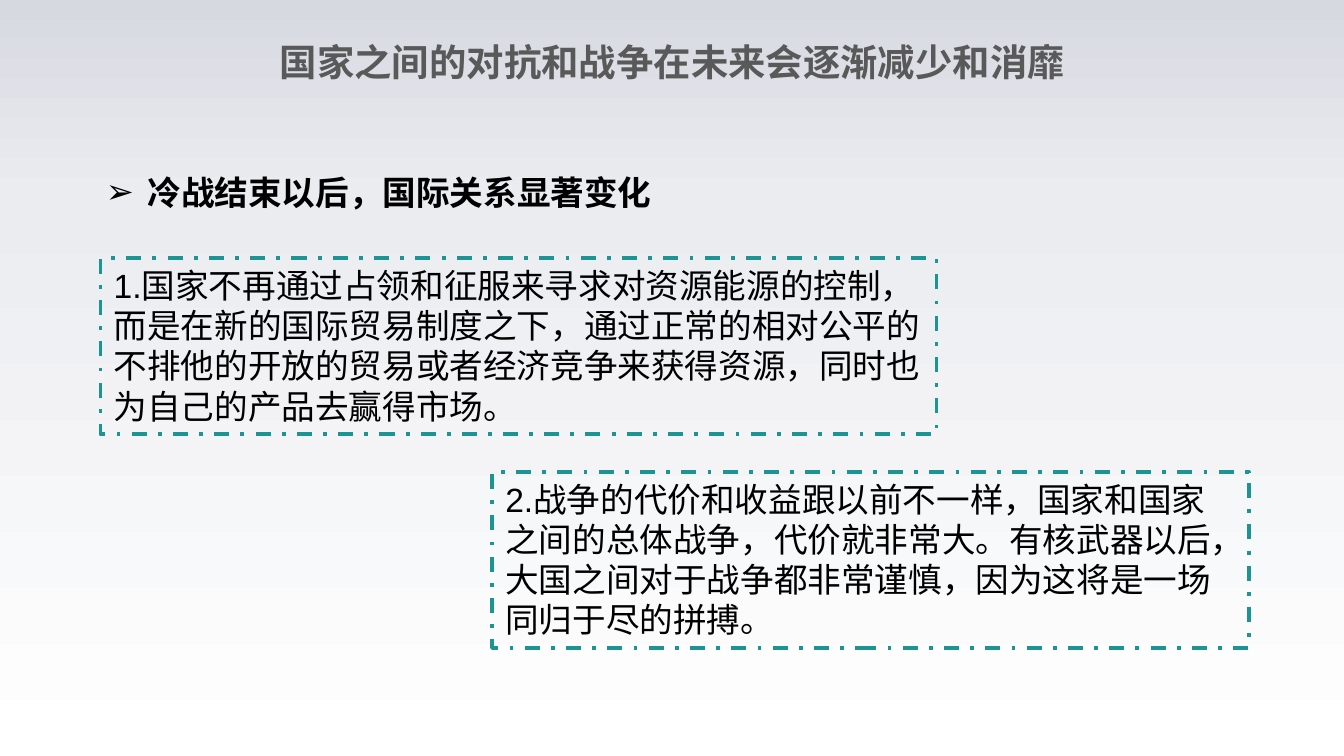
"""Build a slide on the decline of confrontation and war between states."""
from copy import deepcopy

from lxml.etree import SubElement
from pptx import Presentation
from pptx.dml.color import RGBColor
from pptx.enum.dml import MSO_LINE
from pptx.enum.shapes import MSO_SHAPE
from pptx.enum.text import MSO_ANCHOR, PP_ALIGN
from pptx.oxml.ns import qn
from pptx.util import Cm, Pt

TITLE = "国家之间的对抗和战争在未来会逐渐减少和消靡"
HEADING = "冷战结束以后，国际关系显著变化"
REASONS = [
    ("1.国家不再通过占领和征服来寻求对资源能源的控制，而是在新的国际贸易制度之下，"
     "通过正常的相对公平的不排他的开放的贸易或者经济竞争来获得资源，同时也为自己的产品去赢得市场。",
     (1.9, 4.88, 15.8, 3.33)),
    ("2.战争的代价和收益跟以前不一样，国家和国家之间的总体战争，代价就非常大。"
     "有核武器以后，大国之间对于战争都非常谨慎，因为这将是一场同归于尽的拼搏。",
     (9.3, 8.92, 14.3, 3.33)),
]
COLORS = {"title": "595959", "text": "000000", "border": "1C9494"}
BACKDROP = [(0, "D7D9E1"), (0.26, "EBECF0"), (1, "FFFFFF")]
CJK_FONT = "Noto Sans CJK SC"


def color(name):
    return RGBColor.from_string(COLORS[name])


def paint_backdrop(slide):
    fill = slide.background.fill
    fill.gradient()
    fill.gradient_angle = 270
    stop_list = next(slide.element.iter(qn("a:gsLst")))
    stop_list.insert(1, deepcopy(stop_list[0]))
    for stop, (position, shade) in zip(fill.gradient_stops, BACKDROP):
        stop.position = position
        stop.color.rgb = RGBColor.from_string(shade)


def write(paragraph, words, size, shade="text", font="Arial", bold=False):
    run = paragraph.add_run()
    run.text = words
    run.font.name = font
    run.font.size = Pt(size)
    run.font.bold = bold
    run.font.color.rgb = color(shade)
    SubElement(run.font._element, qn("a:ea"), typeface=CJK_FONT)


def add_title(slide):
    frame = slide.shapes.add_textbox(Cm(4.52), Cm(0.74), Cm(16.38), Cm(0.86)).text_frame
    frame.word_wrap = True
    frame.margin_left = frame.margin_right = frame.margin_top = frame.margin_bottom = 0
    frame.paragraphs[0].alignment = PP_ALIGN.CENTER
    write(frame.paragraphs[0], TITLE, 20, "title", CJK_FONT, True)


def add_heading(slide):
    frame = slide.shapes.add_textbox(Cm(1.75), Cm(2.74), Cm(11), Cm(1.42)).text_frame
    frame.word_wrap = False
    paragraph = frame.paragraphs[0]
    paragraph.alignment = PP_ALIGN.JUSTIFY
    paragraph.line_spacing = 1.5
    properties = paragraph._p.get_or_add_pPr()
    properties.set("marL", str(Cm(0.79)))
    properties.set("indent", str(-Cm(0.79)))
    SubElement(properties, qn("a:buFont"), typeface="Arial")
    SubElement(properties, qn("a:buChar"), char="➢")
    write(paragraph, HEADING, 18, bold=True)


def add_reason(slide, words, place):
    panel = slide.shapes.add_shape(MSO_SHAPE.RECTANGLE, *map(Cm, place))
    panel.shadow.inherit = False
    panel.fill.background()
    panel.line.color.rgb = color("border")
    panel.line.width = Pt(2)
    panel.line.dash_style = MSO_LINE.DASH_DOT
    frame = panel.text_frame
    frame.word_wrap = True
    frame.vertical_anchor = MSO_ANCHOR.TOP
    frame.paragraphs[0].alignment = PP_ALIGN.LEFT
    write(frame.paragraphs[0], words, 18)


def main():
    deck = Presentation()
    deck.slide_width, deck.slide_height = Cm(25.4), Cm(14.29)
    slide = deck.slides.add_slide(deck.slide_layouts[6])
    paint_backdrop(slide)
    add_title(slide)
    add_heading(slide)
    for words, place in REASONS:
        add_reason(slide, words, place)
    deck.save("out.pptx")


if __name__ == "__main__":
    main()
